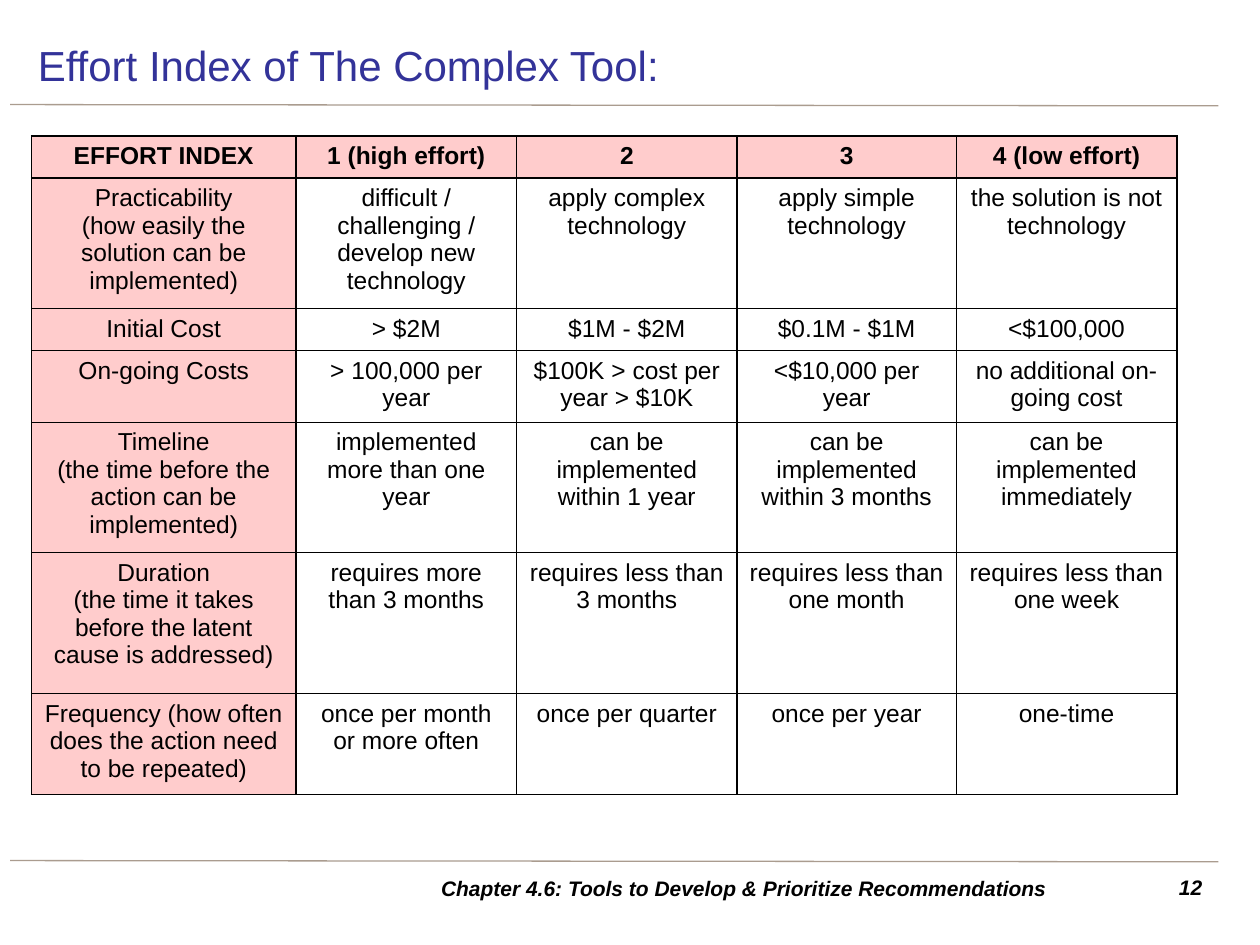
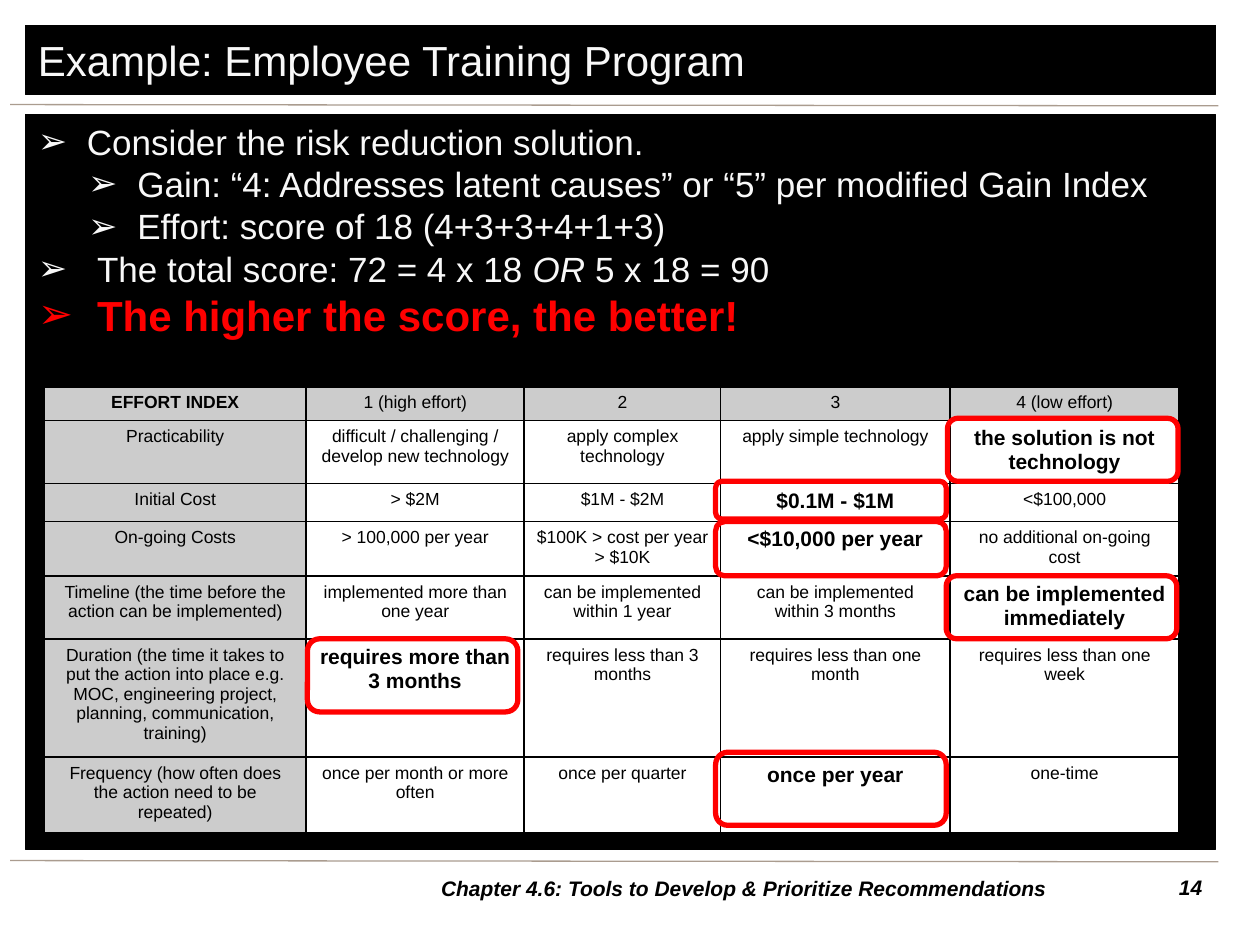
from lxml.etree import SubElement as Sub
from pptx import Presentation
from pptx.dml.color import RGBColor as Rgb
from pptx.enum.shapes import MSO_CONNECTOR as Link, MSO_SHAPE as Shape
from pptx.enum.text import MSO_ANCHOR as Anchor, MSO_AUTO_SIZE as Auto, PP_ALIGN as Align
from pptx.oxml import parse_xml
from pptx.oxml.ns import nsdecls, qn
from pptx.util import Pt

PX = 9144  # 100 px to the inch
FONT = "Arial"
HUES = {
    "rule": "AA9C8F", "title": "333399", "ink": "000000", "pale": "F8F8F8",
    "white": "FFFFFF", "pink": "FFCCCC", "grey": "CCCCCC", "alert": "FF0000",
}
FOOTER = "Chapter 4.6: Tools to Develop & Prioritize Recommendations"
HEAD = ["EFFORT INDEX", "1 (high effort)", "2", "3", "4 (low effort)"]
LEVELS = [
    ["difficult / challenging / develop new technology", "apply complex technology",
     "apply simple technology", "the solution is not technology"],
    ["> $2M", "$1M - $2M", "$0.1M - $1M", "<$100,000"],
    ["> 100,000 per year", "$100K > cost per year > $10K", "<$10,000 per year",
     "no additional on-going cost"],
    ["implemented more than one year", "can be implemented within 1 year",
     "can be implemented within 3 months", "can be implemented immediately"],
    ["requires more than 3 months", "requires less than 3 months",
     "requires less than one month", "requires less than one week"],
    ["once per month or more often", "once per quarter", "once per year", "one-time"],
]
FREQ = "Frequency (how often does the action need to be repeated)"
FULL = [
    "Practicability\n(how easily the solution can be implemented)",
    "Initial Cost", "On-going Costs",
    "Timeline\n(the time before the action can be implemented)",
    "Duration\n(the time it takes before the latent cause is addressed)",
    FREQ,
]
SHORT = [
    "Practicability", "Initial Cost", "On-going Costs",
    "Timeline (the time before the action can be implemented)",
    "Duration (the time it takes to put the action into place e.g. MOC, "
    "engineering project, planning, communication, training)",
    FREQ,
]
# chosen cell (row, column): ring box relative to the table
RINGS = {
    (1, 4): (717, 25, 183, 50),
    (2, 3): (533, 75, 183, 30),
    (3, 3): (533, 107, 183, 43),
    (4, 4): (716, 150, 183, 50),
    (5, 1): (209, 200, 167, 58),
    (6, 3): (533, 290, 183, 58),
}
# text pieces, left indent, hanging indent, level
POINTS = [
    (["Consider the risk reduction solution."], 39, 39, 0),
    (["Gain: “4: Addresses latent causes” or “5” per modified Gain Index"], 79, 39, 1),
    (["Effort: score of 18 (4+3+3+4+1+3)"], 79, 39, 1),
    (["The total score: 72 = 4 x 18 ", "OR", " 5 x 18 = 90"], 47, 47, 0),
    (["The higher the score, the better!"], 47, 47, 0),
]


def rgb(hue):
    return Rgb.from_string(HUES[hue])


def emu(*lens):
    return [n * PX for n in lens]


def place(shape, box):
    shape.left, shape.top, shape.width, shape.height = emu(*box)


def style(font, size, hue="ink", bold=False, italic=False):
    font.name, font.size = FONT, Pt(size)
    font.bold, font.italic = bold, italic
    font.color.rgb = rgb(hue)


def paint(shape, hue):
    shape.fill.solid()
    shape.fill.fore_color.rgb = rgb(hue)
    shape.line.color.rgb = rgb(hue)
    shape.line.width = Pt(0.75)


def rule(slide, y):
    line = slide.shapes.add_connector(Link.STRAIGHT, *emu(8, y, 967, y + 1))
    line.line.color.rgb = rgb("rule")
    line.line.width = Pt(0.75)
    Sub(line._element.spPr, qn("a:effectLst"))


def note(slide, box, text, align, anchor):
    frame = slide.shapes.add_textbox(*emu(*box)).text_frame
    frame.word_wrap = True
    frame.vertical_anchor = anchor
    frame.text = text
    para = frame.paragraphs[0]
    para.alignment = align
    style(para.runs[0].font, 12, bold=True, italic=True)


def base(deck, layout, title, number, top, hue):
    """Add a slide with its title, rules, footer and number."""
    slide = deck.slides.add_slide(deck.slide_layouts.get_by_name(layout))
    for y in (83, 683):
        rule(slide, y)
    head = slide.shapes.title
    place(head, (20, top, 945, 55))
    frame = head.text_frame
    frame.text = title
    frame.auto_size = Auto.NONE
    frame.vertical_anchor = Anchor.MIDDLE
    para = frame.paragraphs[0]
    para.alignment = Align.LEFT
    style(para.runs[0].font, 24, hue)
    note(slide, (906, 689, 58, 31), number, Align.RIGHT, Anchor.TOP)
    note(slide, (295, 689, 591, 31), FOOTER, Align.CENTER, Anchor.MIDDLE)
    return slide


def border(cell):
    props = cell._tc.get_or_add_tcPr()
    for side in ("lnL", "lnR", "lnT", "lnB"):
        props.append(parse_xml(
            f'<a:{side} {nsdecls("a")} w="12700"><a:solidFill>'
            f'<a:srgbClr val="{HUES["ink"]}"/></a:solidFill></a:{side}>'))


def grid(slide, spot, cols, rows, labels, tint, size, bold, picks=()):
    """Draw the effort table; bold gives the header columns in bold."""
    data = [HEAD] + [[name] + vals for name, vals in zip(labels, LEVELS)]
    box = emu(*spot, sum(cols), sum(rows))
    table = slide.shapes.add_table(len(rows), len(cols), *box).table
    table.first_row = table.horz_banding = False
    for col, wide in zip(table.columns, cols):
        col.width = wide * PX
    for r, (row, high) in enumerate(zip(table.rows, rows)):
        row.height = high * PX
        for c, cell in enumerate(row.cells):
            border(cell)
            cell.fill.solid()
            cell.fill.fore_color.rgb = rgb(tint if r == 0 or c == 0 else "white")
            cell.text_frame.text = data[r][c]
            pick = (r, c) in picks
            for para in cell.text_frame.paragraphs:
                para.alignment = Align.CENTER
                style(para.runs[0].font, 12 if pick else size,
                      bold=pick or (r == 0 and c in bold))


def rings(slide, spot):
    for x, y, wide, high in RINGS.values():
        ring = slide.shapes.add_shape(
            Shape.ROUNDED_RECTANGLE, *emu(spot[0] + x, spot[1] + y, wide, high))
        ring.shadow.inherit = False
        ring.fill.background()
        ring.line.color.rgb = rgb("alert")
        ring.line.width = Pt(3)


def points(body, box):
    place(body, box)
    paint(body, "ink")
    frame = body.text_frame
    frame.auto_size = Auto.NONE
    frame.vertical_anchor = Anchor.TOP
    for i, (parts, left, hang, level) in enumerate(POINTS):
        para = frame.paragraphs[0] if i == 0 else frame.add_paragraph()
        para.level = level
        props = para._p.get_or_add_pPr()
        props.set("marL", str(left * PX))
        props.set("indent", str(-hang * PX))
        Sub(props, qn("a:buChar")).set("char", "➢")
        para.space_before = Pt(0)
        last = i == len(POINTS) - 1
        for part in parts:
            run = para.add_run()
            run.text = part
            style(run.font, 24 if last else 20, "alert" if last else "pale",
                  bold=last, italic=part == "OR")


def index(deck):
    slide = base(deck, "Title Only", "Effort Index of The Complex Tool:", "12", 24, "title")
    grid(slide, (25, 108), [210, 175, 175, 174, 175],
         [33, 103, 33, 57, 98, 112, 80], FULL, "pink", 14, range(5))


def example(deck):
    slide = base(deck, "Title and Content", "Example: Employee Training Program",
                 "14", 20, "pale")
    paint(slide.shapes.title, "ink")
    points(slide.placeholders[1], (20, 91, 945, 583))
    spot = (35, 307)
    grid(slide, spot, [208, 173, 156, 182, 182],
         [26, 49, 29, 42, 49, 91, 59], SHORT, "grey", 10, [0], RINGS)
    rings(slide, spot)


def main():
    deck = Presentation()
    deck.slide_width, deck.slide_height = emu(1000, 750)
    index(deck)
    example(deck)
    deck.save("out.pptx")


if __name__ == "__main__":
    main()
